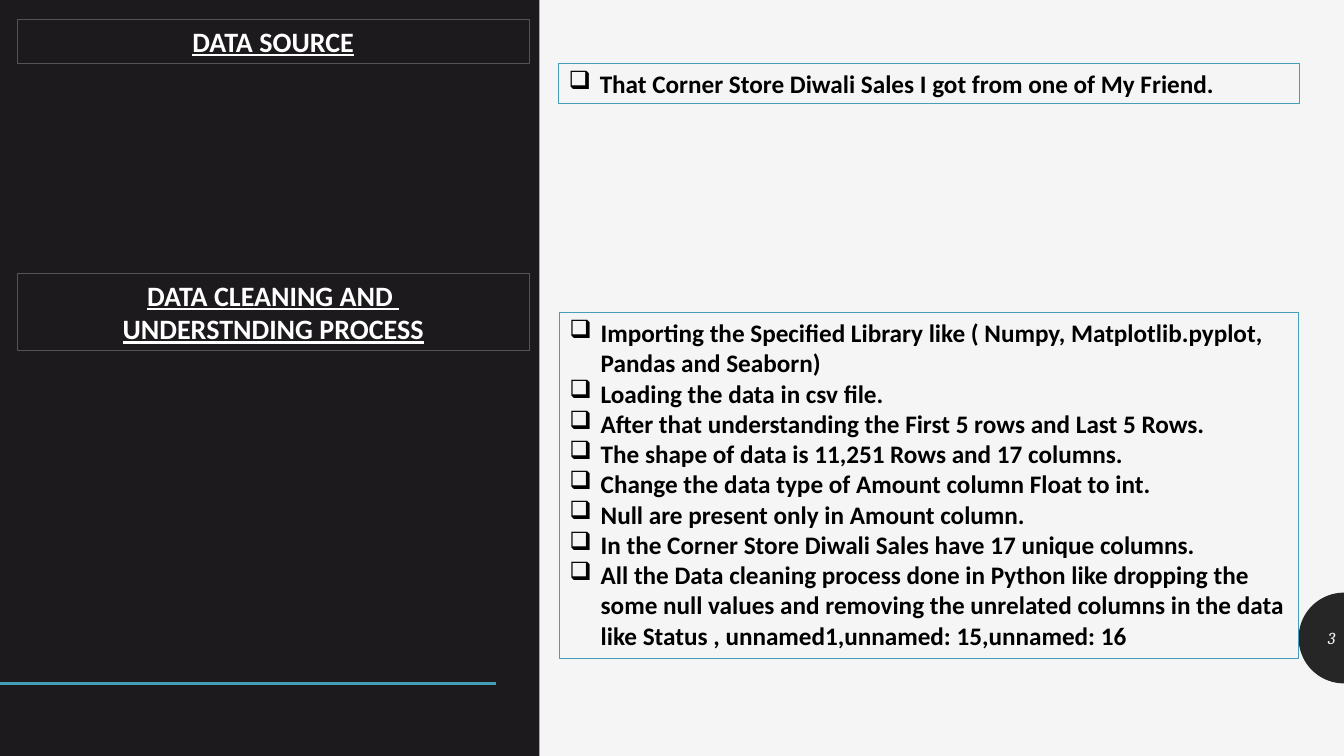
from math import cos, pi, sin

from lxml.etree import SubElement
from pptx import Presentation
from pptx.dml.color import RGBColor
from pptx.enum.shapes import MSO_CONNECTOR as Connector, MSO_SHAPE as Shape
from pptx.enum.text import MSO_ANCHOR as Anchor, PP_ALIGN as Align
from pptx.oxml.ns import qn
from pptx.util import Inches, Pt

COLORS = {
    "background": "F5F5F5",
    "panel": "1D1A1D",
    "badge": "262626",
    "accent": "439EB7",
    "heading_line": "555355",
    "white": "FFFFFF",
    "black": "000000",
}

HEADING = {"name": "Calibri", "size": Pt(20), "bold": True, "underline": True}
BODY = {"name": "Calibri", "size": Pt(18), "bold": True}
NUMBER = {"name": "Cambria", "size": Pt(12), "italic": True}

SOURCE_POINTS = ["That Corner Store Diwali Sales I got from one of My Friend."]
CLEANING_POINTS = [
    "Importing the Specified Library like ( Numpy, Matplotlib.pyplot, Pandas and Seaborn)",
    "Loading the data in csv file.",
    "After that understanding the First 5 rows and Last 5 Rows.",
    "The shape of data is 11,251 Rows and 17 columns.",
    "Change the data type of Amount column Float to int.",
    "Null are present only in Amount column.",
    "In the Corner Store Diwali Sales have 17 unique columns.",
    "All the Data cleaning process done in Python like dropping the some null values "
    "and removing the unrelated columns in the data like Status , "
    "unnamed1,unnamed: 15,unnamed: 16",
]


def color(name):
    return RGBColor.from_string(COLORS[name])


def paint(shape, fill):
    shape.shadow.inherit = False
    shape.fill.solid()
    shape.fill.fore_color.rgb = color(fill)
    shape.line.fill.background()


def outline(shape, line):
    shape.line.color.rgb = color(line)
    shape.line.width = Pt(0.75)


def write(shape, lines, font, font_color, align, anchor=Anchor.TOP):
    frame = shape.text_frame
    frame.word_wrap = True
    frame.vertical_anchor = anchor
    frame.text = "\n".join(lines)
    for paragraph in frame.paragraphs:
        paragraph.alignment = align
        for run in paragraph.runs:
            for attribute, value in font.items():
                setattr(run.font, attribute, value)
            run.font.color.rgb = color(font_color)


def add_bullet(paragraph):
    properties = paragraph._p.get_or_add_pPr()
    indent = Inches(0.31)
    properties.set("marL", str(indent))
    properties.set("indent", str(-indent))
    SubElement(properties, qn("a:buChar"), char="❑")


def add_bullet_box(slide, box, points):
    shape = slide.shapes.add_textbox(*map(Inches, box))
    outline(shape, "accent")
    write(shape, points, BODY, "black", Align.LEFT)
    for paragraph in shape.text_frame.paragraphs:
        add_bullet(paragraph)


def format_heading(shape, lines):
    outline(shape, "heading_line")
    write(shape, lines, HEADING, "white", Align.CENTER)


def place_title(slide, box, text):
    title = slide.shapes.title
    for side, value in zip(("left", "top", "width", "height"), box):
        setattr(title, side, Inches(value))
    format_heading(title, [text])
    # Bring the title in front of the dark panel
    slide.shapes._spTree.append(title._element)


def add_rule(slide, y, end):
    rule = slide.shapes.add_connector(
        Connector.STRAIGHT, 0, Inches(y), Inches(end), Inches(y))
    rule.line.color.rgb = color("accent")
    rule.line.width = Pt(2)
    SubElement(rule._element.spPr, qn("a:effectLst"))


def add_half_disc(slide, center_x, center_y, radius, steps=48):
    angles = [pi / 2 + pi * step / steps for step in range(steps + 1)]
    points = [(Inches(center_x + radius * cos(angle)),
               Inches(center_y + radius * sin(angle))) for angle in angles]
    builder = slide.shapes.build_freeform(*points[0])
    builder.add_line_segments(points[1:], close=True)
    paint(builder.convert_to_shape(), "badge")


def main():
    presentation = Presentation()
    presentation.slide_width = Inches(13.33)
    presentation.slide_height = Inches(7.5)
    slide = presentation.slides.add_slide(presentation.slide_layouts[5])
    slide.background.fill.solid()
    slide.background.fill.fore_color.rgb = color("background")

    # Page number badge, dark panel and accent rule
    add_half_disc(slide, 13.33, 6.33, 0.45)
    panel = slide.shapes.add_shape(
        Shape.RECTANGLE, 0, 0, Inches(5.35), presentation.slide_height)
    paint(panel, "panel")
    add_rule(slide, 6.78, 4.92)
    number = slide.shapes.add_textbox(*map(Inches, (12.89, 6.13, 0.45, 0.4)))
    write(number, ["3"], NUMBER, "background", Align.RIGHT, Anchor.MIDDLE)

    # Headings
    place_title(slide, (0.17, 0.19, 5.08, 0.44), "DATA SOURCE")
    cleaning = slide.shapes.add_textbox(*map(Inches, (0.17, 2.71, 5.08, 0.77)))
    format_heading(cleaning, ["DATA CLEANING AND ", "UNDERSTNDING PROCESS"])

    # Bullet boxes
    add_bullet_box(slide, (5.54, 0.63, 7.35, 0.4), SOURCE_POINTS)
    add_bullet_box(slide, (5.55, 3.1, 7.33, 3.43), CLEANING_POINTS)

    presentation.save("out.pptx")


if __name__ == "__main__":
    main()
